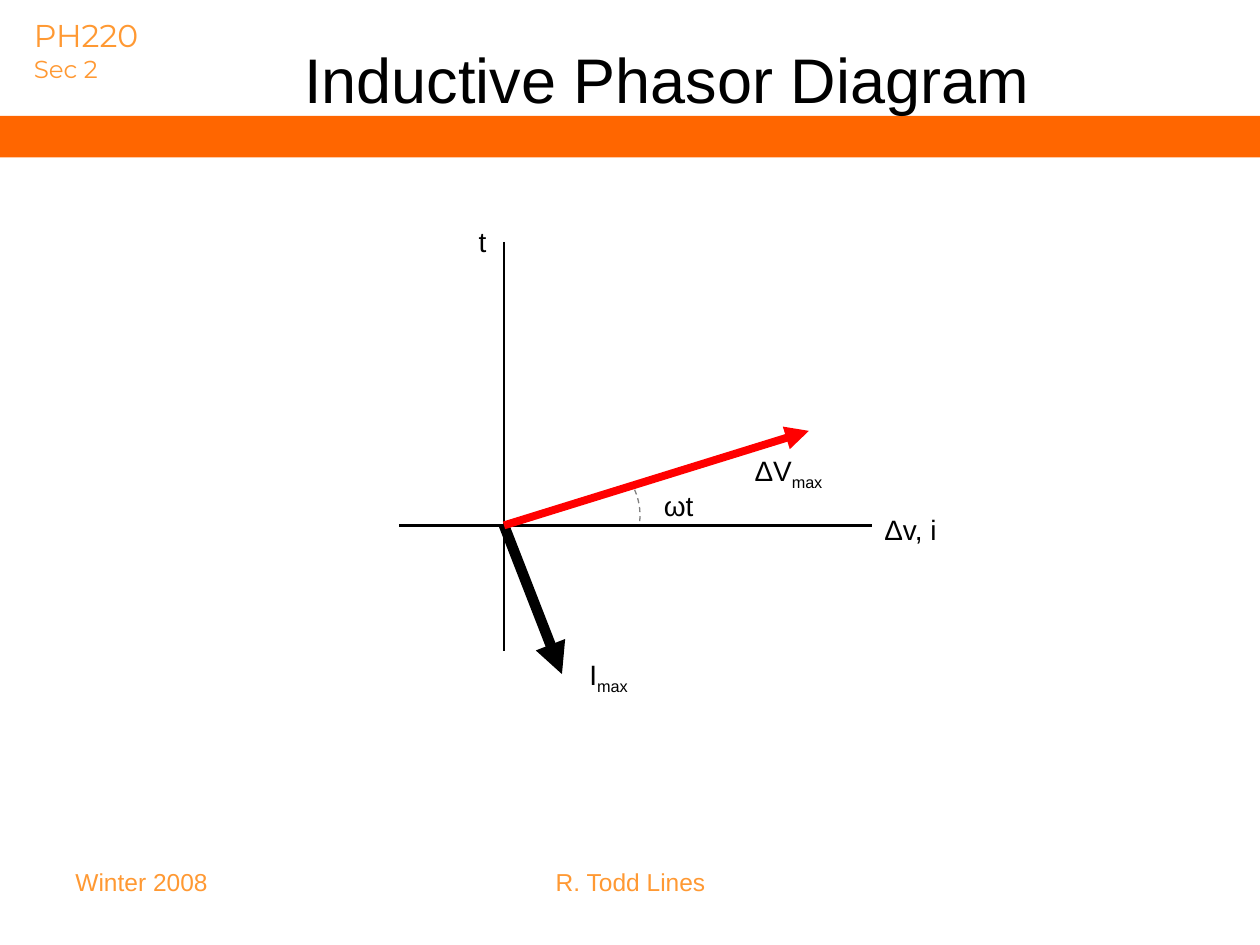
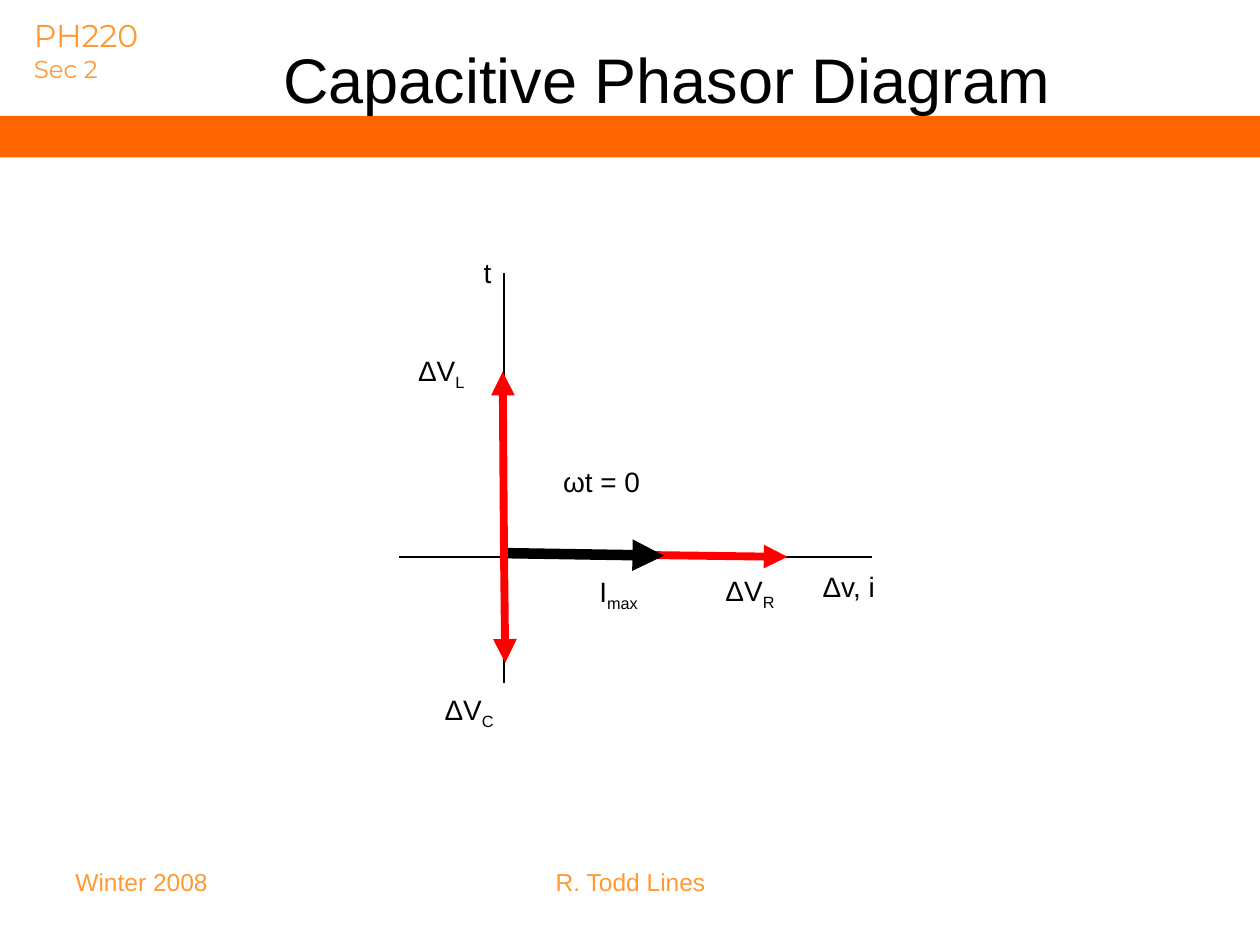
from dataclasses import dataclass
from math import cos, radians, sin

from lxml import etree
from pptx import Presentation
from pptx.dml.color import RGBColor
from pptx.enum.dml import MSO_LINE
from pptx.enum.shapes import MSO_CONNECTOR, MSO_SHAPE
from pptx.enum.text import MSO_ANCHOR, PP_ALIGN
from pptx.oxml.ns import qn
from pptx.util import Inches, Pt

LEFT, CENTER = PP_ALIGN.LEFT, PP_ALIGN.CENTER
TOP, MIDDLE = MSO_ANCHOR.TOP, MSO_ANCHOR.MIDDLE
RECTANGLE = MSO_SHAPE.RECTANGLE
STRAIGHT = MSO_CONNECTOR.STRAIGHT
DASH = MSO_LINE.DASH


@dataclass(frozen=True)
class Theme:
    band: str = "FF6600"
    accent: str = "FF9933"
    ink: str = "000000"
    voltage: str = "FF0000"
    angle: str = "808080"
    body_font: str = "Arial"
    course_font: str = "Montserrat"
    title_size: int = 36
    course_size: int = 18
    label_size: int = 16
    small_size: int = 14
    axis_width: float = 1.5
    voltage_width: float = 4.5
    current_width: float = 6
    angle_width: float = 0.75
    subscript: str = "-25000"


THEME = Theme()

BAND = (0, 0.92, 10.08, 0.33)
TITLE_BOX = (1.75, 0, 7.08, 1.25)
COURSE_BOX = (0.17, 0.08, 1.09, 0.63)
COURSE = [("PH220", THEME.course_size), ("Sec 2", THEME.small_size)]
FOOTERS = [
    ("Winter 2008", (0.5, 6.83, 2.33, 0.52), LEFT),
    ("R. Todd Lines", (3.42, 6.83, 3.17, 0.52), CENTER),
]
AXIS_REACH = {"left": 0.83, "right": 2.92, "up": 2.25, "down": 1}
LABEL_HEIGHT = 0.37
PHASOR_STYLES = {
    "current": (THEME.ink, THEME.current_width),
    "voltage": (THEME.voltage, THEME.voltage_width),
}

DIAGRAMS = [
    {
        "title": "Inductive Phasor Diagram",
        "origin": (4, 4.17),
        "phasor_start": (4, 4.17),
        "phasors": [("current", (4.46, 5.35)), ("voltage", (6.42, 3.42))],
        "labels": [
            ("ΔV", "max", 5.89, 3.55, 0.77),
            ("ωt", "", 5.17, 3.83, 0.46),
            ("t", "", 3.7, 1.73, 0.26),
            ("Δv, i", "", 6.92, 4.02, 0.62),
            ("I", "max", 4.58, 5.17, 0.77),
        ],
        "angle_arc": {"center": (4.58, 4.09), "radius": 0.5, "degrees": (-24, 8)},
    },
    {
        "title": "Capacitive Phasor Diagram",
        "origin": (4, 4.42),
        "phasor_start": (4, 4.39),
        "phasors": [
            ("voltage", (6.25, 4.42)),
            ("current", (5.27, 4.41)),
            ("voltage", (4.01, 5.26)),
            ("voltage", (3.99, 2.95)),
        ],
        "labels": [
            ("ΔV", "R", 5.66, 4.5, 0.77),
            ("t", "", 3.74, 1.98, 0.26),
            ("Δv, i", "", 6.43, 4.47, 0.62),
            ("ΔV", "C", 3.43, 5.45, 0.77),
            ("I", "max", 4.66, 4.51, 0.77),
            ("ΔV", "L", 3.22, 2.76, 0.77),
            ("ωt = 0", "", 4.37, 3.64, 0.88),
        ],
    },
]


def inches(values):
    return [Inches(value) for value in values]


def apply(target, formats):
    for name, value in formats.items():
        setattr(target, name, value)


def add_run(paragraph, text, size, color, font=THEME.body_font):
    run = paragraph.add_run()
    run.text = text
    apply(run.font, {"name": font, "size": Pt(size)})
    run.font.color.rgb = RGBColor.from_string(color)
    return run


def add_text_frame(slide, box, wrap=True, anchor=TOP):
    frame = slide.shapes.add_textbox(*inches(box)).text_frame
    apply(frame, {"word_wrap": wrap, "vertical_anchor": anchor})
    return frame


def add_line(slide, start, end, color, width, arrow=False):
    connector = slide.shapes.add_connector(STRAIGHT, *inches((*start, *end)))
    connector.line.color.rgb = RGBColor.from_string(color)
    connector.line.width = Pt(width)
    if arrow:
        outline = connector.line._get_or_add_ln()
        etree.SubElement(outline, qn("a:tailEnd"), type="triangle")
    etree.SubElement(connector._element.spPr, qn("a:effectLst"))


def add_frame(slide, title):
    course = add_text_frame(slide, COURSE_BOX, wrap=False)
    for index, (text, size) in enumerate(COURSE):
        paragraph = course.add_paragraph() if index else course.paragraphs[0]
        add_run(paragraph, text, size, THEME.accent, THEME.course_font)

    band = slide.shapes.add_shape(RECTANGLE, *inches(BAND))
    band.shadow.inherit = False
    band.fill.solid()
    band.fill.fore_color.rgb = RGBColor.from_string(THEME.band)
    band.line.fill.background()

    for text, box, alignment in FOOTERS:
        paragraph = add_text_frame(slide, box).paragraphs[0]
        paragraph.alignment = alignment
        add_run(paragraph, text, THEME.small_size, THEME.accent)

    paragraph = add_text_frame(slide, TITLE_BOX, anchor=MIDDLE).paragraphs[0]
    paragraph.alignment = CENTER
    add_run(paragraph, title, THEME.title_size, THEME.ink)


def add_axes(slide, origin):
    x, y = origin
    vertical = (x, y - AXIS_REACH["up"]), (x, y + AXIS_REACH["down"])
    horizontal = (x - AXIS_REACH["left"], y), (x + AXIS_REACH["right"], y)
    for start, end in (vertical, horizontal):
        add_line(slide, start, end, THEME.ink, THEME.axis_width)


def add_angle_arc(slide, center, radius, degrees):
    x, y = center
    first, last = degrees
    points = [
        inches((x + radius * cos(radians(angle)), y + radius * sin(radians(angle))))
        for angle in range(first, last + 1, 2)
    ]
    builder = slide.shapes.build_freeform(*inches(center))
    builder.move_to(*points[0])
    builder.add_line_segments(points[1:], close=False)
    arc = builder.convert_to_shape()
    arc.shadow.inherit = False
    arc.fill.background()
    arc.line.color.rgb = RGBColor.from_string(THEME.angle)
    apply(arc.line, {"width": Pt(THEME.angle_width), "dash_style": DASH})


def add_label(slide, text, subscript, left, top, width):
    box = (left, top, width, LABEL_HEIGHT)
    paragraph = add_text_frame(slide, box, wrap=False).paragraphs[0]
    paragraph.alignment = LEFT
    add_run(paragraph, text, THEME.label_size, THEME.ink)
    if subscript:
        run = add_run(paragraph, subscript, THEME.label_size, THEME.ink)
        run._r.get_or_add_rPr().set("baseline", THEME.subscript)


def main():
    presentation = Presentation()
    apply(presentation, {"slide_width": Inches(10), "slide_height": Inches(7.5)})
    for diagram in DIAGRAMS:
        slide = presentation.slides.add_slide(presentation.slide_layouts[6])
        add_frame(slide, diagram["title"])
        add_axes(slide, diagram["origin"])
        for kind, tip in diagram["phasors"]:
            add_line(slide, diagram["phasor_start"], tip, *PHASOR_STYLES[kind], arrow=True)
        for label in diagram["labels"]:
            add_label(slide, *label)
        if "angle_arc" in diagram:
            add_angle_arc(slide, **diagram["angle_arc"])
    presentation.save("out.pptx")


if __name__ == "__main__":
    main()
